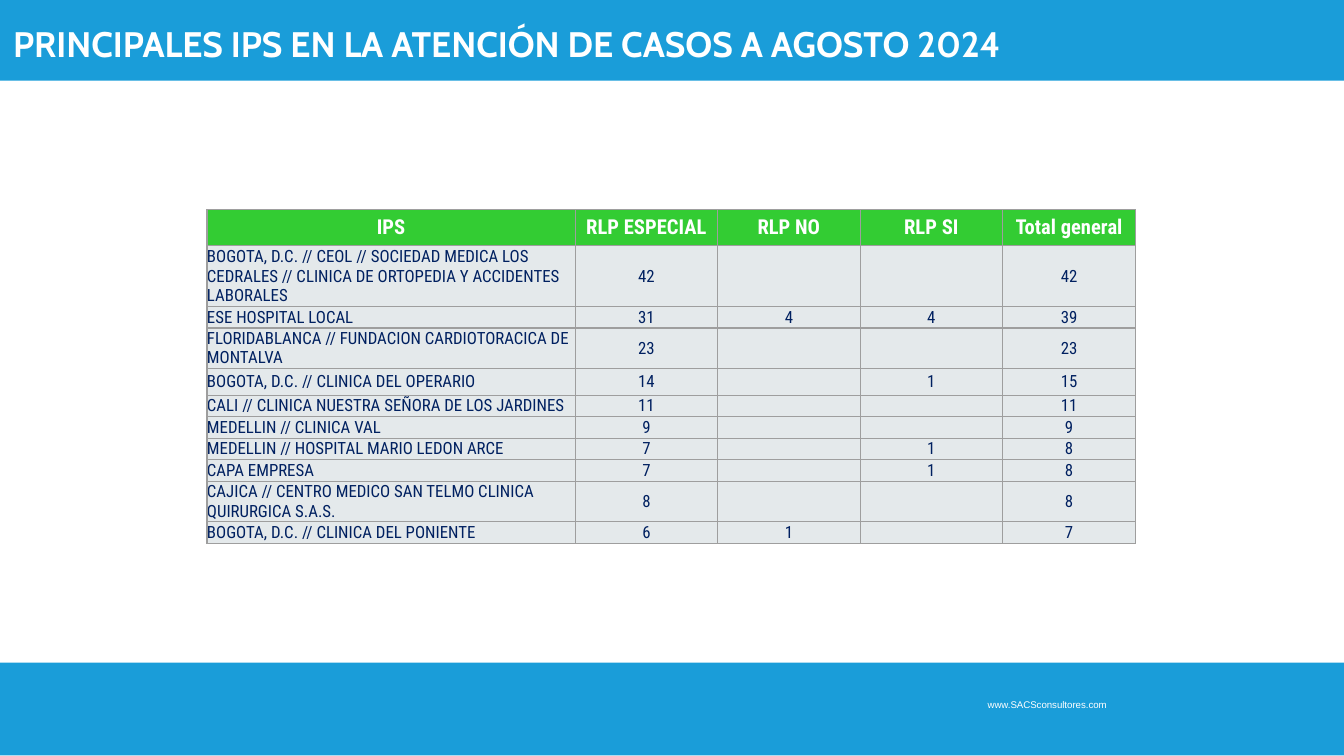
from pptx import Presentation
from pptx import util as u
from pptx.dml.color import RGBColor
from pptx.enum import shapes, text
from pptx.oxml.xmlchemy import OxmlElement

BLUE = RGBColor(0x1A, 0x9D, 0xD9)
GREEN = RGBColor(0x33, 0xCC, 0x33)
PALE = RGBColor(0xE4, 0xE9, 0xEB)
NAVY = RGBColor(0x00, 0x20, 0x60)
WHITE = RGBColor(0xFF, 0xFF, 0xFF)
BORDER = RGBColor(0x9E, 0x9E, 0x9E)

COLUMN_WIDTHS = [2.74, 1.06, 1.06, 1.06, 0.99]
ROW_HEIGHTS = [0.27, 0.4, 0.16, 0.27, 0.2, 0.16, 0.16, 0.16, 0.16, 0.27, 0.16]
HEADERS = ["IPS", "RLP ESPECIAL", "RLP NO", "RLP SI", "Total general"]
ROWS = [
    ["BOGOTA, D.C. // CEOL // SOCIEDAD MEDICA LOS CEDRALES // "
     "CLINICA DE ORTOPEDIA Y ACCIDENTES LABORALES", 42, "", "", 42],
    ["ESE HOSPITAL LOCAL", 31, 4, 4, 39],
    ["FLORIDABLANCA // FUNDACION CARDIOTORACICA DE MONTALVA", 23, "", "", 23],
    ["BOGOTA, D.C. // CLINICA DEL OPERARIO", 14, "", 1, 15],
    ["CALI // CLINICA NUESTRA SEÑORA DE LOS JARDINES", 11, "", "", 11],
    ["MEDELLIN // CLINICA VAL", 9, "", "", 9],
    ["MEDELLIN // HOSPITAL MARIO LEDON ARCE", 7, "", 1, 8],
    ["CAPA EMPRESA", 7, "", 1, 8],
    ["CAJICA // CENTRO MEDICO SAN TELMO CLINICA QUIRURGICA S.A.S.", 8, "", "", 8],
    ["BOGOTA, D.C. // CLINICA DEL PONIENTE", 6, 1, "", 7],
]


def set_font(paragraph, name, size, color, bold=False):
    font = paragraph.font
    font.name, font.size, font.bold = name, u.Pt(size), bold
    font.color.rgb = color


def add_band(slide, left, top, width, height):
    band = slide.shapes.add_shape(
        shapes.MSO_SHAPE.RECTANGLE,
        u.Inches(left), u.Inches(top), u.Inches(width), u.Inches(height))
    band.shadow.inherit = False
    band.fill.solid()
    band.fill.fore_color.rgb = BLUE
    band.line.fill.background()
    return band


def add_title_band(slide, left, top, width, height):
    frame = add_band(slide, left, top, width, height).text_frame
    frame.word_wrap = True
    frame.vertical_anchor = text.MSO_ANCHOR.MIDDLE
    frame.margin_left = frame.margin_right = u.Inches(0.1)
    frame.margin_top = frame.margin_bottom = u.Inches(0.1)
    paragraph = frame.paragraphs[0]
    paragraph.text = "PRINCIPALES IPS EN LA ATENCIÓN DE CASOS A AGOSTO 2024"
    paragraph.alignment = text.PP_ALIGN.LEFT
    paragraph.line_spacing = 1.15
    set_font(paragraph, "Cabin", 19, WHITE, bold=True)


def add_footer(slide, left, top, width, height):
    add_band(slide, left, top, width, height)
    address = slide.shapes.add_textbox(
        u.Inches(left + 7.25), u.Inches(top + 0.22), u.Inches(1.11), u.Inches(0.19))
    frame = address.text_frame
    frame.word_wrap = False
    frame.auto_size = text.MSO_AUTO_SIZE.SHAPE_TO_FIT_TEXT
    paragraph = frame.paragraphs[0]
    paragraph.text = "www.SACSconsultores.com"
    set_font(paragraph, "Arial", 5.2, WHITE)


def add_borders(cell):
    properties = cell._tc.get_or_add_tcPr()
    for side in ("a:lnL", "a:lnR", "a:lnT", "a:lnB"):
        line = OxmlElement(side)
        line.set("w", str(u.Pt(0.75)))
        fill = OxmlElement("a:solidFill")
        color = OxmlElement("a:srgbClr")
        color.set("val", str(BORDER))
        fill.append(color)
        line.append(fill)
        properties.append(line)


def fill_cell(cell, value, header, centered):
    add_borders(cell)
    cell.fill.solid()
    cell.fill.fore_color.rgb = GREEN if header else PALE
    cell.vertical_anchor = text.MSO_ANCHOR.MIDDLE
    cell.margin_left = cell.margin_right = cell.margin_top = cell.margin_bottom = 0
    paragraph = cell.text_frame.paragraphs[0]
    paragraph.text = str(value)
    paragraph.alignment = text.PP_ALIGN.CENTER if centered else text.PP_ALIGN.LEFT
    size = 11 if header else 9
    set_font(paragraph, "Roboto Condensed", size, WHITE if header else NAVY, header)
    if value == "":
        # An empty cell takes its line height from the end-of-paragraph mark.
        end_mark = OxmlElement("a:endParaRPr")
        end_mark.set("sz", str(size * 100))
        paragraph._p.append(end_mark)


def add_cases_table(slide, left, top, width, height):
    """Rows keep their least heights; the frame leaves room for wrapped names."""
    frame = slide.shapes.add_table(
        len(ROW_HEIGHTS), len(COLUMN_WIDTHS), u.Inches(left), u.Inches(top),
        u.Inches(width), u.Inches(height))
    table = frame.table
    for column, column_width in zip(table.columns, COLUMN_WIDTHS):
        column.width = u.Inches(column_width)
    for row, row_height in zip(table.rows, ROW_HEIGHTS):
        row.height = u.Inches(row_height)
    frame.height = u.Inches(height)
    for r, values in enumerate([HEADERS] + ROWS):
        for c, value in enumerate(values):
            fill_cell(table.cell(r, c), value, header=r == 0, centered=r == 0 or c > 0)


def main():
    presentation = Presentation()
    presentation.slide_width = u.Inches(10)
    presentation.slide_height = u.Inches(10 * 9 / 16)
    slide = presentation.slides.add_slide(presentation.slide_layouts[6])
    add_footer(slide, 0, 4.93, 10, 0.69)
    add_title_band(slide, 0, 0, 10, 0.6)
    add_cases_table(slide, 1.54, 1.56, 6.91, 2.5)
    presentation.save("out.pptx")


if __name__ == "__main__":
    main()
